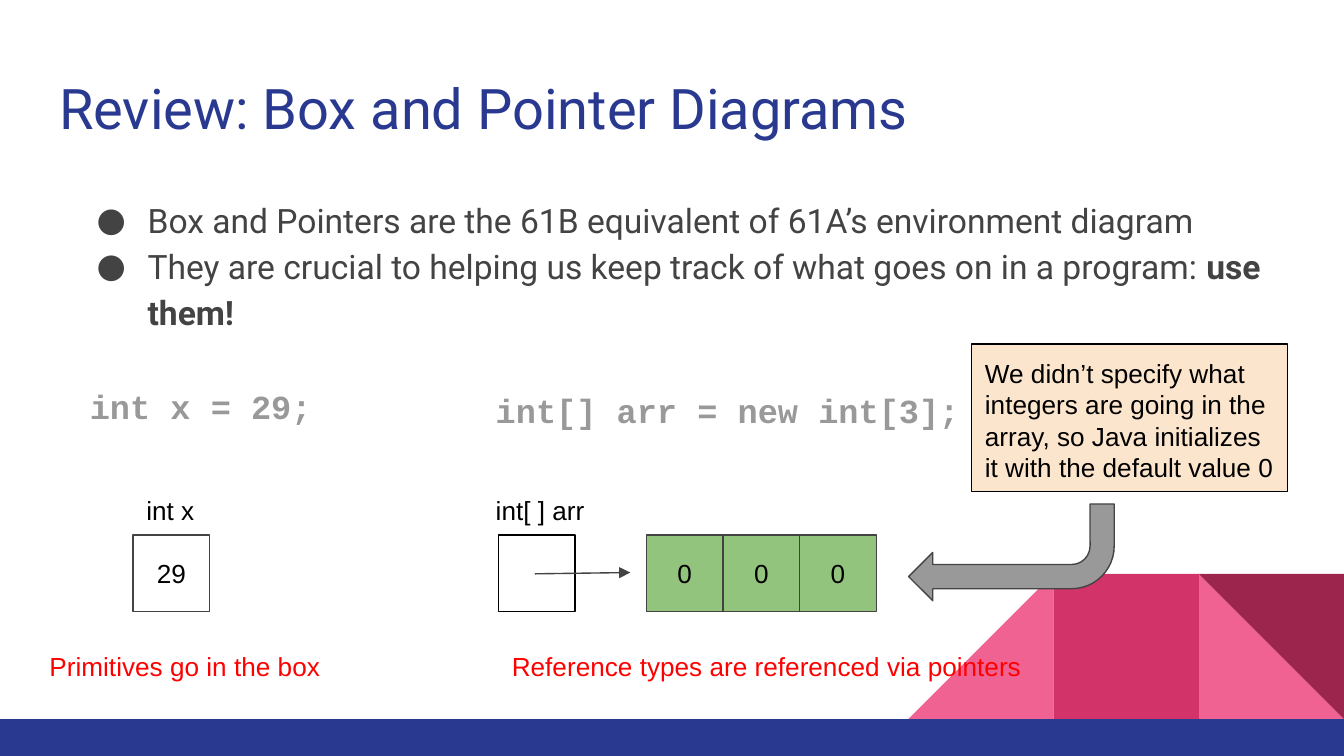
from lxml.etree import SubElement
from pptx import Presentation
from pptx.dml.color import RGBColor
from pptx.enum.shapes import MSO_CONNECTOR, MSO_SHAPE
from pptx.enum.text import MSO_ANCHOR, MSO_AUTO_SIZE, PP_ALIGN
from pptx.oxml.ns import qn
from pptx.util import Inches, Pt

COLORS = {
    "navy": "2A3990", "pink": "F06292", "rose": "D23369", "wine": "9C254D",
    "ink": "434343", "black": "000000", "gray": "999999", "green": "93C47D",
    "peach": "FCE5CD", "red": "FF0000",
}
FORMATS = {
    "title": {"name": "Roboto", "size": Pt(30), "color": "navy"},
    "body": {"name": "Roboto", "size": Pt(18), "color": "ink"},
    "code": {"name": "Courier New", "size": Pt(18), "bold": True, "color": "gray"},
    "label": {"name": "Arial", "size": Pt(14), "color": "black"},
    "note": {"name": "Arial", "size": Pt(14), "color": "red"},
}
WIDTH = 10
HEIGHT = WIDTH * 9 / 16
CELL = 0.57


def rgb(color):
    return RGBColor.from_string(COLORS[color])


def format_font(font, style):
    for key, value in FORMATS[style].items():
        if key == "color":
            font.color.rgb = rgb(value)
        else:
            setattr(font, key, value)


def prepare_frame(frame, anchor=MSO_ANCHOR.TOP, wrap=True, right=0.1):
    settings = {
        "auto_size": MSO_AUTO_SIZE.NONE, "word_wrap": wrap, "vertical_anchor": anchor,
        "margin_left": Inches(0.1), "margin_top": Inches(0.1),
        "margin_right": Inches(right), "margin_bottom": Inches(0.1),
    }
    for key, value in settings.items():
        setattr(frame, key, value)


def write(frame, text, style, align=PP_ALIGN.LEFT, spacing=1.0):
    para = frame.paragraphs[0]
    para.alignment = align
    para.line_spacing = spacing
    span = para.add_run()
    span.text = text
    format_font(span.font, style)


def add_text(page, box, text, style, spacing=1.0, wrap=True):
    frame = page.shapes.add_textbox(*map(Inches, box)).text_frame
    prepare_frame(frame, wrap=wrap)
    write(frame, text, style, spacing=spacing)


def add_block(page, kind, box, fill=None, line=None):
    shape = page.shapes.add_shape(kind, *map(Inches, box))
    shape.shadow.inherit = False
    if fill:
        shape.fill.solid()
        shape.fill.fore_color.rgb = rgb(fill)
    else:
        shape.fill.background()
    if line:
        shape.line.color.rgb = rgb(line)
        shape.line.width = Pt(0.75)
    else:
        shape.line.fill.background()
    return shape


def add_cell(page, left, top, text="", fill=None, line="ink"):
    cell = add_block(page, MSO_SHAPE.RECTANGLE, (left, top, CELL, CELL), fill, line)
    if text:
        prepare_frame(cell.text_frame, MSO_ANCHOR.MIDDLE)
        write(cell.text_frame, text, "label", PP_ALIGN.CENTER)


def add_footer(page, box):
    left, top, width, height = box
    side = 1.08
    triangle = MSO_SHAPE.RIGHT_TRIANGLE
    pieces = [
        (triangle, 2, "pink", False, 0),
        (triangle, 0, "pink", True, 0),
        (MSO_SHAPE.RECTANGLE, 1, "rose", False, 0),
        (triangle, 2, "wine", False, 180),
    ]
    for kind, column, fill, flipped, rotation in pieces:
        piece_left = left + width - (3 - column) * side
        piece = add_block(page, kind, (piece_left, top, side, side), fill)
        piece.rotation = rotation
        if flipped:
            piece.element.spPr.find(qn("a:xfrm")).set("flipH", "1")
    add_block(page, MSO_SHAPE.RECTANGLE, (left, top + side, width, height - side), "navy")


def add_title(page, box, text):
    title = page.shapes.title
    title.left, title.top, title.width, title.height = map(Inches, box)
    prepare_frame(title.text_frame)
    write(title.text_frame, text, "title")


def add_bullets(page, box, items):
    frame = page.shapes.add_textbox(*map(Inches, box)).text_frame
    prepare_frame(frame, right=0.07)
    for index, spans in enumerate(items):
        para = frame.paragraphs[0] if index == 0 else frame.add_paragraph()
        para.line_spacing = 1.15
        properties = para._p.get_or_add_pPr()
        properties.set("marL", str(Inches(0.5)))
        properties.set("indent", str(Inches(-0.38)))
        bullet_color = SubElement(properties, qn("a:buClr"))
        SubElement(bullet_color, qn("a:srgbClr")).set("val", COLORS["ink"])
        SubElement(properties, qn("a:buSzPts")).set("val", "1800")
        SubElement(properties, qn("a:buFont")).set("typeface", "Roboto")
        SubElement(properties, qn("a:buChar")).set("char", "●")
        for text, bold in spans:
            span = para.add_run()
            span.text = text
            format_font(span.font, "body")
            span.font.bold = bold


def add_pointer(page, start, end):
    pointer = page.shapes.add_connector(MSO_CONNECTOR.STRAIGHT, *map(Inches, start + end))
    pointer.line.color.rgb = rgb("ink")
    pointer.line.width = Pt(0.75)
    SubElement(pointer.line._get_or_add_ln(), qn("a:tailEnd")).set("type", "triangle")
    SubElement(pointer.element.spPr, qn("a:effectLst"))


def add_primitive(page, box):
    left, top, width, height = box
    add_text(page, (left + 0.3, top, width - 0.3, 0.4), "int x = 29;", "code", 1.15)
    add_text(page, (left + 0.72, top + 0.85, CELL, 0.33), "int x", "label", wrap=False)
    add_cell(page, left + 0.72, top + 1.25, "29")
    add_text(page, (left, top + height - 0.4, width, 0.4), "Primitives go in the box", "note")


def add_reference(page, box):
    left, top, width, height = box
    cell_top = top + 1.22
    add_text(page, (left, top, 3.93, 0.46), "int[] arr = new int[3];", "code", 1.15)
    add_text(page, (left, top + 0.82, 1.02, 0.33), "int[ ] arr", "label")
    add_cell(page, left + 0.12, cell_top, line="black")
    for index in range(3):
        add_cell(page, left + 1.22 + index * CELL, cell_top, "0", "green")
    add_pointer(page, (left + 0.39, cell_top + 0.29), (left + 1.1, cell_top + 0.28))
    add_text(page, (left + 0.12, top + height - 0.4, width - 0.12, 0.4),
             "Reference types are referenced via pointers", "note")


def add_callout(page, box, text):
    left, top, width, height = box
    arrow = add_block(page, MSO_SHAPE.BENT_ARROW,
                      (left - 0.47, top + height + 0.09, 1.53, 0.72), "gray", "ink")
    arrow.rotation = 180
    for index, value in enumerate((0.25, 0.25, 0.25, 0.44)):
        arrow.adjustments[index] = value
    callout = add_block(page, MSO_SHAPE.RECTANGLE, box, "peach", "black")
    prepare_frame(callout.text_frame, right=0.07)
    write(callout.text_frame, text, "label")


def main():
    deck = Presentation()
    deck.slide_width, deck.slide_height = Inches(WIDTH), Inches(HEIGHT)
    page = deck.slides.add_slide(deck.slide_layouts[5])
    add_footer(page, (0, 4.27, WIDTH, HEIGHT - 4.27))
    add_title(page, (0.34, 0.45, 9.32, 0.66), "Review: Box and Pointer Diagrams")
    add_bullets(page, (0.5, 1.34, 8.99, 1.22), [
        [("Box and Pointers are the 61B equivalent of 61A’s environment diagram", False)],
        [("They are crucial to helping us keep track of what goes on in a program: ", False),
         ("use them!", True)],
    ])
    add_primitive(page, (0.27, 2.73, 2.26, 2.41))
    add_reference(page, (3.59, 2.76, 4.98, 2.38))
    add_callout(page, (7.23, 2.56, 2.35, 1.1),
                "We didn’t specify what integers are going in the array, "
                "so Java initializes it with the default value 0")
    deck.save("out.pptx")


if __name__ == "__main__":
    main()
